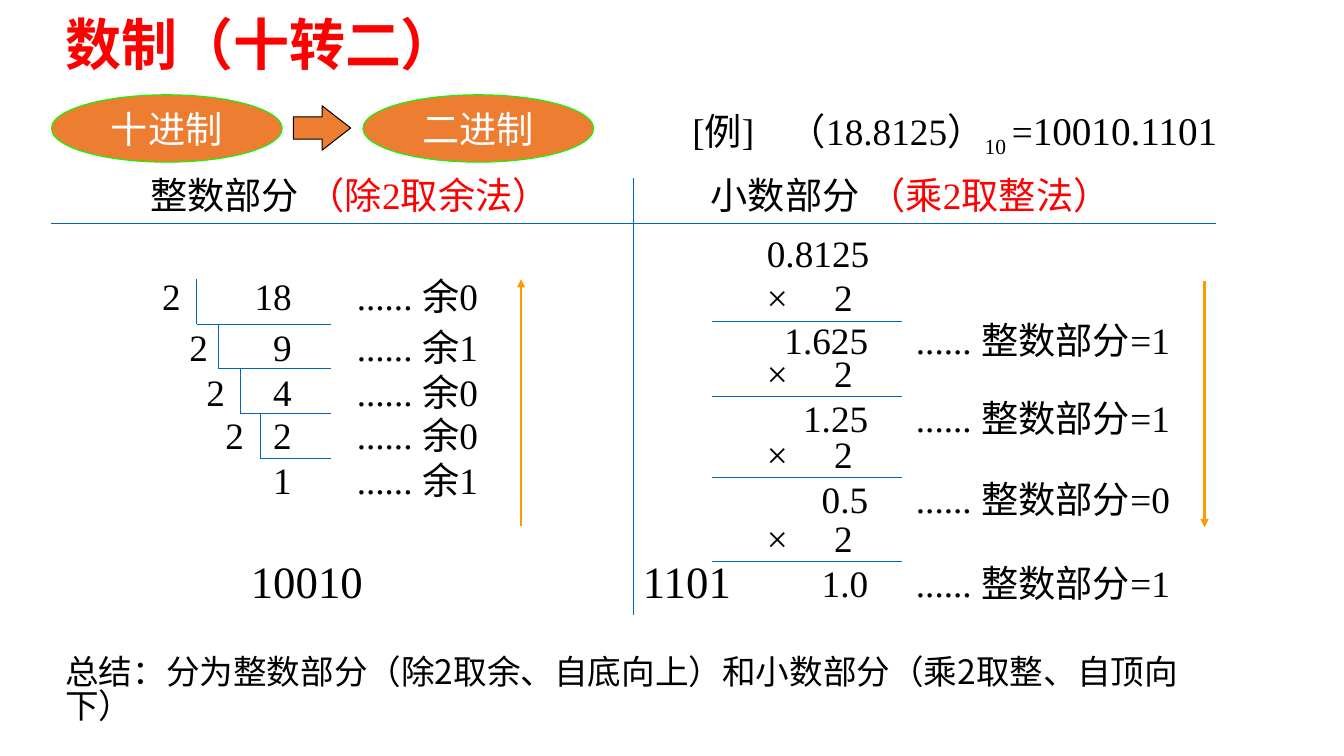
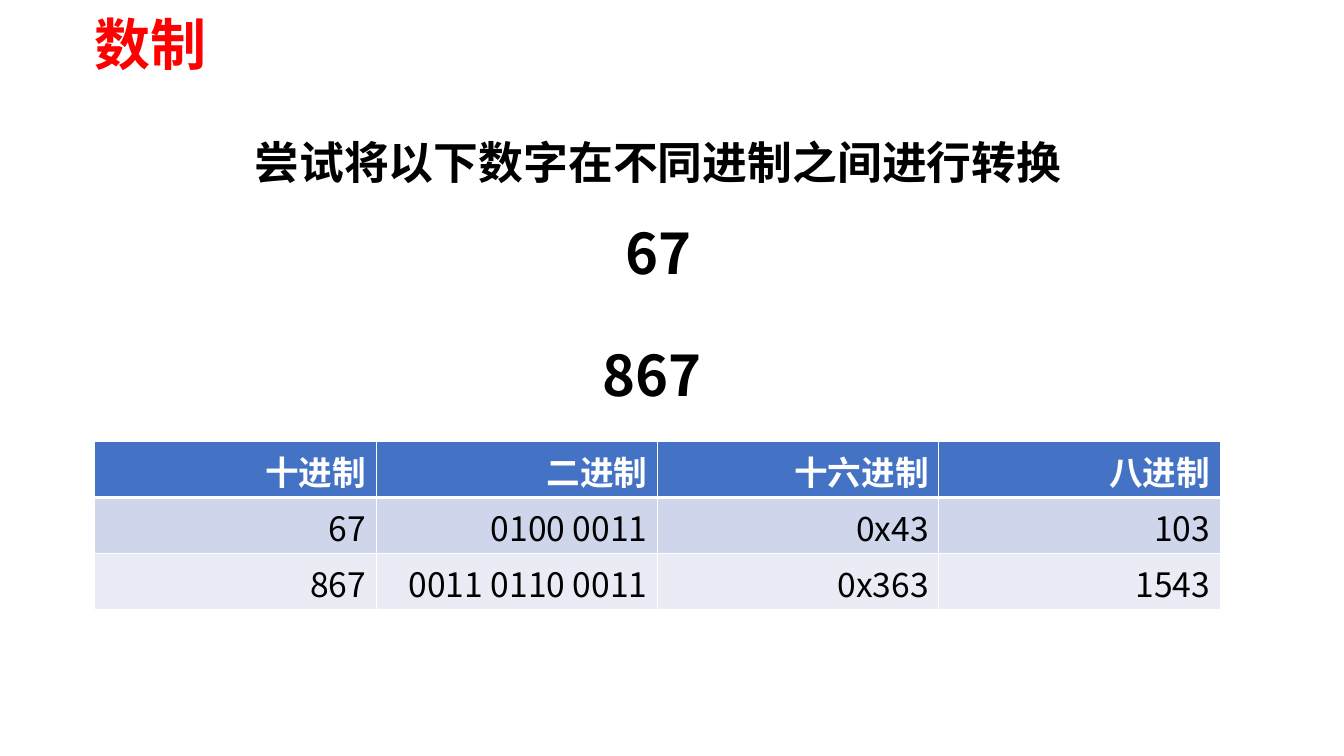
from lxml import etree
from pptx import Presentation
from pptx.dml.color import RGBColor
from pptx.enum.shapes import MSO_CONNECTOR, MSO_SHAPE
from pptx.enum.text import MSO_ANCHOR, PP_ALIGN
from pptx.oxml.ns import qn
from pptx.util import Pt

STRAIGHT = MSO_CONNECTOR.STRAIGHT
ELLIPSE, RIGHT_ARROW = MSO_SHAPE.OVAL, MSO_SHAPE.RIGHT_ARROW
LEFT, CENTER, RIGHT = PP_ALIGN.LEFT, PP_ALIGN.CENTER, PP_ALIGN.RIGHT
MIDDLE = MSO_ANCHOR.MIDDLE

COLORS = {
    "title": "FF0000", "text": "000000", "white": "FFFFFF", "method": "FF0000",
    "orange": "ED7D31", "green": "00FF00", "rule": "0563C1", "arrow": "FF9900",
    "header": "4472C4", "band_dark": "CFD5EA", "band_light": "E9EBF5",
}
SANS, SERIF = "Noto Sans CJK SC", "Times New Roman"
BODY_SIZE = 26.6
INSET = 7.2


def rgb(name):
    return RGBColor.from_string(COLORS[name])


def add_tabs(para, tabs):
    """Add (position, "l" or "r") tab stops; the paragraph font must be set first."""
    default_font = para._p.get_or_add_pPr().find(qn("a:defRPr"))
    tab_list = etree.Element(qn("a:tabLst"))
    for position, side in tabs:
        etree.SubElement(tab_list, qn("a:tab"), pos=str(int(Pt(position))), algn=side)
    default_font.addprevious(tab_list)


def style_paragraph(para, size=BODY_SIZE, font=SERIF, color="text", bold=False,
                    align=LEFT, spacing=None, tabs=()):
    para.alignment = align
    if spacing:
        para.line_spacing = spacing
    para.font.size, para.font.name = Pt(size), font
    para.font.bold = bold
    para.font.color.rgb = rgb(color)
    if font == SANS:
        default_font = para._p.pPr.find(qn("a:defRPr"))
        etree.SubElement(default_font, qn("a:ea"), typeface=font)
    if tabs:
        add_tabs(para, tabs)


def add_span(para, text, color=None, size=None, baseline=None):
    span = para.add_run()
    span.text = text
    if color:
        span.font.color.rgb = rgb(color)
    if size:
        span.font.size = Pt(size)
    if baseline:
        span._r.get_or_add_rPr().set("baseline", str(baseline))


def write(frame, lines, **style):
    """Fill a frame; a line is a string or a list of (text, span options)."""
    for index, line in enumerate(lines):
        para = frame.add_paragraph() if index else frame.paragraphs[0]
        style_paragraph(para, **style)
        for text, options in [(line, {})] if isinstance(line, str) else line:
            add_span(para, text, **options)


def add_text(page, left, top, width, height, lines, **style):
    box = page.shapes.add_textbox(Pt(left), Pt(top), Pt(width), Pt(height))
    box.text_frame.word_wrap = True
    write(box.text_frame, lines, **style)
    return box


def add_title(page, left, text):
    add_text(page, left, 8.6, 818.6, 55.4, [text], size=40, font=SANS,
             color="title", bold=True, spacing=0.9)


def add_line(page, x1, y1, x2, y2, color="rule", width=0.75, arrow=False):
    line = page.shapes.add_connector(STRAIGHT, Pt(x1), Pt(y1), Pt(x2), Pt(y2))
    line.line.color.rgb = rgb(color)
    line.line.width = Pt(width)
    if arrow:
        etree.SubElement(line.line._get_or_add_ln(), qn("a:tailEnd"), type="triangle")
    etree.SubElement(line._element.spPr, qn("a:effectLst"))


def add_filled_shape(page, kind, left, top, width, height, outline):
    shape = page.shapes.add_shape(kind, Pt(left), Pt(top), Pt(width), Pt(height))
    shape.shadow.inherit = False
    shape.fill.solid()
    shape.fill.fore_color.rgb = rgb("orange")
    shape.line.color.rgb = rgb(outline)
    shape.line.width = Pt(0.75)
    return shape


def add_conversion(page):
    """Draw decimal -> binary as two ellipses and an arrow."""
    for left, name in ((36.7, "十进制"), (259.2, "二进制")):
        ellipse = add_filled_shape(page, ELLIPSE, left, 67.7, 164.9, 48.2, "green")
        ellipse.text_frame.word_wrap = False
        ellipse.text_frame.vertical_anchor = MIDDLE
        write(ellipse.text_frame, [name], color="white", align=CENTER)
    arrow = add_filled_shape(page, RIGHT_ARROW, 209.5, 75.6, 41, 31.7, "text")
    arrow.adjustments[0], arrow.adjustments[1] = 0.5, 0.644


def add_division_ladder(page):
    number_right, note_left = 208.6, 255
    step, first_rule = 32, 199.5
    rows = [  # box left, box top, divisor, number, remainder
        (108.7, 191.5, "2", 18, 0),
        (128.2, 228.2, "2", 9, 1),
        (140.4, 259.9, "2", 4, 0),
        (154, 290.9, "2", 2, 0),
        (154, 323.3, "", 1, 1),
    ]
    for left, top, divisor, number, remainder in rows:
        start = left + INSET
        add_text(page, left, top, 390 - left, 39.6,
                 [f"{divisor}\t{number}\t...... 余{remainder}"],
                 tabs=[(number_right - start, "r"), (note_left - start, "l")])
    for index, x in enumerate((140.4, 156.3, 172.1, 185.8)):
        top = first_rule + index * step
        add_line(page, x, top, x, top + step)
        add_line(page, x, top + step, 236.2, top + step)
    add_line(page, 372.2, 375.8, 372.2, 199.4, "arrow", 1.5, arrow=True)
    add_text(page, 172.1, 391.7, 112.3, 46, ["10010"], size=32)


def add_multiplication_chain(page):
    left, width = 540.7, 328.3
    factor = "×\t2"
    factor_tabs = [(48, "l")]
    product_tabs = [(72.5, "r"), (106.5, "l")]

    def add_factor(top):
        add_text(page, left, top, width, 36, [factor], tabs=factor_tabs)

    def add_product(top, product, digit):
        add_text(page, left, top, width, 39.6,
                 [f"\t{product}\t...... 整数部分={digit}"], tabs=product_tabs)

    line_pitch = 32
    add_text(page, left, 160.6, width, 36, ["\t0.8125"], tabs=product_tabs)
    add_factor(160.6 + line_pitch)
    add_product(223.2, "1.625", 1)
    for top, product, digit in ((247, "1.25", 1), (304.6, "0.5", 0), (364.3, "1.0", 1)):
        add_factor(top)
        add_product(top + line_pitch, product, digit)
    for y in (229.7, 283, 341.3, 401):
        add_line(page, 508.3, y, 644.4, y)
    add_line(page, 860.4, 200.9, 860.4, 376.6, "arrow", 1.5, arrow=True)
    add_text(page, 452.2, 391.7, 98.6, 46, ["1101"], size=32)


def build_decimal_to_binary(page):
    add_title(page, 39.6, "数制（十转二）")
    add_conversion(page)
    add_text(page, 487.4, 64.8, 430.6, 44.6, [[
        ("[例]\t（18.8125）", {}), ("10 ", {"baseline": -25000}),
        ("=", {}), ("10010.1101", {"size": 28}),
    ]], spacing=1.2, tabs=[(69, "l")])
    add_line(page, 36.7, 159.8, 868.3, 159.8)
    add_line(page, 452.2, 439.2, 452.2, 127.4)
    add_text(page, 100.1, 119.5, 727.9, 39.6, [[
        ("整数部分 ", {}), ("（除2取余法）", {"color": "method"}),
        ("\t小数部分 ", {}), ("（乘2取整法）", {"color": "method"}),
    ]], tabs=[(400.5, "l")])
    add_division_ladder(page)
    add_multiplication_chain(page)
    add_text(page, 39.6, 465.8, 851.8, 36,
             ["总结：分为整数部分（除2取余、自底向上）和小数部分（乘2取整、自顶向下）"],
             size=24, font=SANS, spacing=0.85)


def set_borders(cell, bottom):
    properties = cell._tc.get_or_add_tcPr()
    for side, width in (("L", 1), ("R", 1), ("T", 1), ("B", bottom)):
        border = etree.SubElement(properties, qn(f"a:ln{side}"), w=str(int(Pt(width))))
        fill = etree.SubElement(border, qn("a:solidFill"))
        etree.SubElement(fill, qn("a:srgbClr"), val=COLORS["white"])


def add_number_table(page, rows):
    left, top, column_width, row_height = 67.7, 315.4, 201, 40
    table = page.shapes.add_table(
        len(rows), len(rows[0]), Pt(left), Pt(top),
        Pt(column_width * len(rows[0])), Pt(row_height * len(rows))).table
    for row in table.rows:
        row.height = Pt(row_height)
    fills = ("header", "band_dark", "band_light")
    for row_index, values in enumerate(rows):
        is_header = row_index == 0
        for column_index, value in enumerate(values):
            cell = table.cell(row_index, column_index)
            set_borders(cell, bottom=3 if is_header else 1)
            cell.fill.solid()
            cell.fill.fore_color.rgb = rgb(fills[row_index])
            cell.margin_bottom = 0
            write(cell.text_frame, [value], size=24, font=SANS, align=RIGHT,
                  bold=is_header, color="white" if is_header else "text")


def build_exercise(page):
    add_title(page, 60.5, "数制")
    heading = {"font": SANS, "bold": True, "align": CENTER, "spacing": 0.9}
    add_text(page, 117.4, 97.2, 705.6, 35.3,
             ["尝试将以下数字在不同进制之间进行转换"], size=32, **heading)
    add_number_table(page, [
        ("十进制", "二进制", "十六进制", "八进制"),
        ("67", "0100 0011", "0x43", "103"),
        ("867", "0011 0110 0011", "0x363", "1543"),
    ])
    numbers = add_text(page, 421.9, 157.7, 96.5, 152.6, ["67", "867 "],
                       size=40, **heading)
    numbers.text_frame.paragraphs[1].space_before = Pt(44.3)


def main():
    deck = Presentation()
    deck.slide_width, deck.slide_height = Pt(960), Pt(540)
    blank = deck.slide_layouts[6]
    for build in (build_decimal_to_binary, build_exercise):
        build(deck.slides.add_slide(blank))
    deck.save("out.pptx")


if __name__ == "__main__":
    main()
